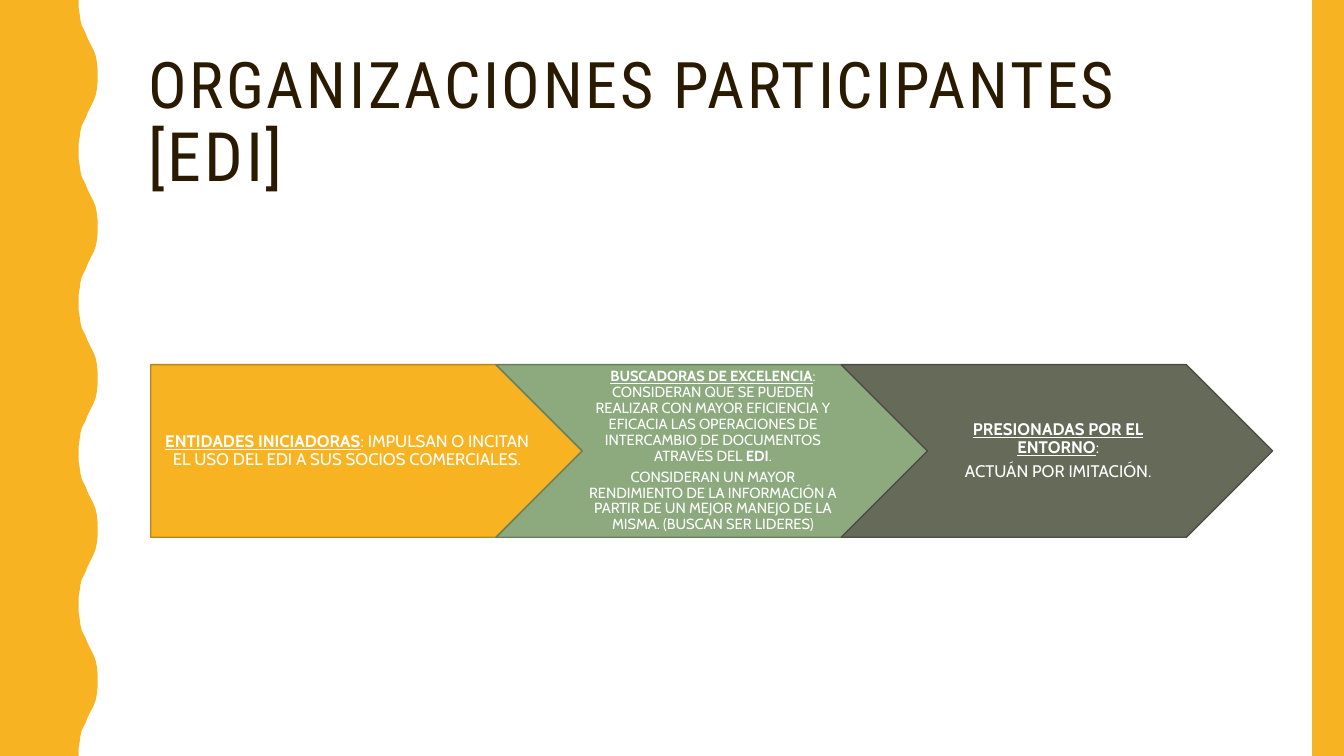
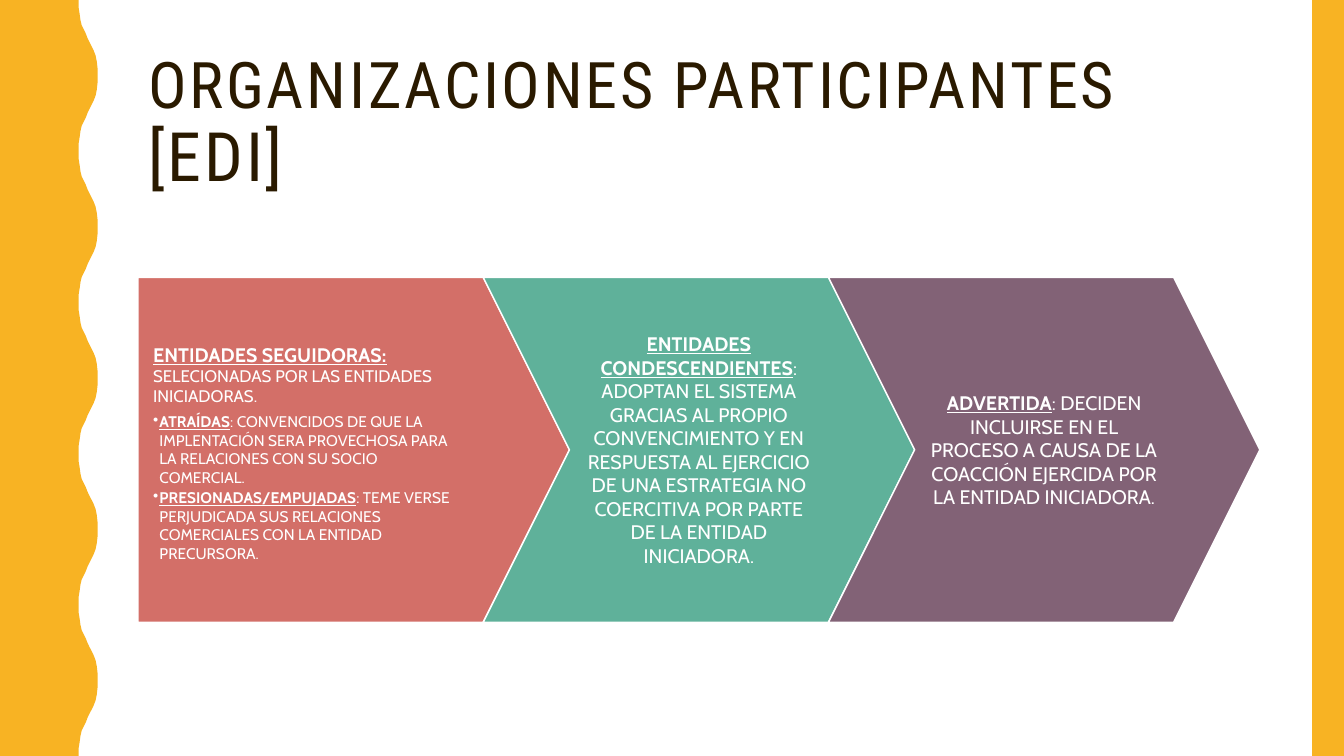
from dataclasses import dataclass

from lxml import etree
from pptx import Presentation
from pptx.dml.color import RGBColor
from pptx.enum.shapes import MSO_SHAPE
from pptx.enum.text import MSO_ANCHOR, MSO_AUTO_SIZE, PP_ALIGN
from pptx.oxml.ns import qn
from pptx.util import Cm, Pt

WIDE, HIGH = 33.87, 19.05
COLORS = {
    "gold": "F8B323", "dark": "2A1A00", "white": "FFFFFF",
    "gold_edge": "B7841A", "green": "8CAA7E", "green_edge": "687E5D",
    "olive": "656A59", "olive_edge": "4B4E42",
    "red": "D36F68", "teal": "5FB19A", "plum": "826276",
}
HEAD_FONT, BODY_FONT = "Roboto Condensed", "Cabin"

# Half a wave of the left band (x, y in cm); the other half mirrors it.
PERIOD = 3.81
HALF = [(1.98, 0), (1.98, 0.18), (2.01, 0.36), (2.03, 0.51), (2.06, 0.64),
        (2.11, 0.74), (2.16, 0.84), (2.21, 0.97), (2.26, 1.07), (2.31, 1.17),
        (2.36, 1.27), (2.41, 1.4), (2.44, 1.55), (2.46, 1.73)]
WAVE = HALF + [(2.46, PERIOD / 2)] + [(x, PERIOD - y) for x, y in HALF[::-1]]

STEP, STEP_WIDE = 8.7, 10.87


@dataclass
class Bit:
    text: str
    bold: bool = False
    under: bool = False
    size: float | None = None


@dataclass
class Para:
    bits: list[Bit]
    size: float
    bullet: bool = False


@dataclass
class Arrow:
    fill: str
    edge: str
    paras: list[Para]
    inset: tuple[float, float, float, float]
    align: PP_ALIGN = PP_ALIGN.CENTER
    anchor: MSO_ANCHOR = MSO_ANCHOR.MIDDLE


@dataclass
class Chain:
    left: float
    top: float
    high: float
    tip: float
    pitch: float
    arrows: list[Arrow]


def key(text: str, size: float | None = None) -> Bit:
    """Bold, underlined lead words."""
    return Bit(text, True, True, size)


CHAINS = [
    Chain(3.8, 9.19, 4.35, 0.5, 0.9, [
        Arrow("gold", "gold_edge", [
            Para([key("ENTIDADES INICIADORAS"),
                  Bit(": IMPULSAN O INCITAN EL USO DEL EDI A SUS SOCIOS "
                      "COMERCIALES.")], 12),
        ], (0.17, 0.1, 0.05, 0.1)),
        Arrow("green", "green_edge", [
            Para([key("BUSCADORAS DE EXCELENCIA"),
                  Bit(": CONSIDERAN QUE SE PUEDEN REALIZAR CON MAYOR "
                      "EFICIENCIA Y EFICACIA LAS OPERACIONES DE INTERCAMBIO "
                      "DE DOCUMENTOS ATRAVÉS DEL "),
                  Bit("EDI", True), Bit(".")], 10.5),
            Para([Bit("CONSIDERAN UN MAYOR RENDIMIENTO DE LA INFORMACIÓN A "
                      "PARTIR DE UN MEJOR MANEJO DE LA MISMA. (BUSCAN SER "
                      "LIDERES)")], 10.5),
        ], (0.12, 0.08, 0.05, 0.08)),
        Arrow("olive", "olive_edge", [
            Para([key("PRESIONADAS POR EL ENTORNO"), Bit(":")], 12),
            Para([Bit("ACTUÁN POR IMITACIÓN.")], 12),
        ], (0.25, 0.1, 0.18, 0.1)),
    ]),
    Chain(3.48, 6.99, 8.69, 0.25, 1, [
        Arrow("red", "white", [
            Para([key("ENTIDADES SEGUIDORAS: ", 14),
                  Bit("SELECIONADAS POR LAS ENTIDADES INICIADORAS.")], 12),
            Para([key("ATRAÍDAS"),
                  Bit(": CONVENCIDOS DE QUE LA IMPLENTACIÓN SERA PROVECHOSA "
                      "PARA LA RELACIONES CON SU SOCIO COMERCIAL.")], 11, True),
            Para([key("PRESIONADAS/EMPUJADAS"),
                  Bit(": TEME VERSE PERJUDICADA SUS RELACIONES COMERCIALES "
                      "CON LA ENTIDAD PRECURSORA.")], 11, True),
        ], (0.38, 1.64, 1.52, 0.1), PP_ALIGN.LEFT, MSO_ANCHOR.TOP),
        Arrow("teal", "white", [
            Para([key("ENTIDADES CONDESCENDIENTES"),
                  Bit(": ADOPTAN EL SISTEMA GRACIAS AL PROPIO CONVENCIMIENTO "
                      "Y EN RESPUESTA AL EJERCICIO DE UNA ESTRATEGIA NO "
                      "COERCITIVA POR PARTE DE LA ENTIDAD INICIADORA.")], 14),
        ], (0.38, 0.1, 0.38, 0.1)),
        Arrow("plum", "white", [
            Para([key("ADVERTIDA"),
                  Bit(": DECIDEN INCLUIRSE EN EL PROCESO A CAUSA DE LA "
                      "COACCIÓN EJERCIDA POR LA ENTIDAD INICIADORA.")], 14),
        ], (0.38, 0.1, 0.38, 0.1)),
    ]),
]


def tint(name: str) -> RGBColor:
    return RGBColor.from_string(COLORS[name])


def paint(shape, fill: str, edge: str | None = None) -> None:
    shape.shadow.inherit = False
    shape.fill.solid()
    shape.fill.fore_color.rgb = tint(fill)
    if edge:
        shape.line.color.rgb = tint(edge)
        shape.line.width = Pt(1)
    else:
        shape.line.fill.background()


def add_frame(slide) -> None:
    """Wavy band on the left, plain bar on the right."""
    count = round(HIGH / PERIOD)
    edge = [(x, y + turn * PERIOD) for turn in range(count) for x, y in WAVE]
    pen = slide.shapes.build_freeform(0, 0, scale=1.0)
    pen.add_line_segments([(Cm(x), Cm(y)) for x, y in edge + [(0, HIGH)]])
    paint(pen.convert_to_shape(), "gold")
    bar = slide.shapes.add_shape(
        MSO_SHAPE.RECTANGLE, Cm(33.07), 0, Cm(WIDE - 33.07), Cm(HIGH))
    paint(bar, "gold")


def add_title(slide) -> None:
    title = slide.shapes.title
    title.left, title.top = Cm(3.48), Cm(1.07)
    title.width, title.height = Cm(28.27), Cm(4.14)
    frame = title.text_frame
    frame.auto_size = MSO_AUTO_SIZE.NONE
    frame.word_wrap = True
    frame.vertical_anchor = MSO_ANCHOR.MIDDLE
    para = frame.paragraphs[0]
    para.alignment = PP_ALIGN.LEFT
    para.line_spacing = 0.9
    para.font.name = HEAD_FONT
    para.font.color.rgb = tint("dark")
    first = para.add_run()
    para.add_line_break()
    last = para.add_run()
    for run, text, size in ((first, "ORGANIZACIONES PARTICIPANTES", 45.9),
                            (last, "[EDI]", 48.6)):
        run.text = text
        run.font.size = Pt(size)
        run.font._element.set("spc", "200")


def add_bullet(para) -> None:
    props = para._p.get_or_add_pPr()
    props.set("marL", str(Cm(0.16)))
    props.set("indent", str(-Cm(0.16)))
    etree.SubElement(props, qn("a:buChar")).set("char", "•")


def write(para, data: Para, align: PP_ALIGN, pitch: float) -> None:
    if data.bullet:
        add_bullet(para)
    para.alignment = align
    para.line_spacing = pitch
    para.space_after = Pt(data.size * (0.15 if data.bullet else 0.35))
    para.font.name = BODY_FONT
    para.font.size = Pt(data.size)
    para.font.color.rgb = tint("white")
    for bit in data.bits:
        run = para.add_run()
        run.text = bit.text
        run.font.bold = bit.bold
        run.font.underline = bit.under
        if bit.size:
            run.font.size = Pt(bit.size)


def add_chain(slide, chain: Chain) -> None:
    for spot, arrow in enumerate(chain.arrows):
        kind = MSO_SHAPE.CHEVRON if spot else MSO_SHAPE.PENTAGON
        shape = slide.shapes.add_shape(
            kind, Cm(chain.left + spot * STEP), Cm(chain.top),
            Cm(STEP_WIDE), Cm(chain.high))
        shape.adjustments[0] = chain.tip
        paint(shape, arrow.fill, arrow.edge)
        frame = shape.text_frame
        frame.word_wrap = True
        frame.vertical_anchor = arrow.anchor
        (frame.margin_left, frame.margin_top, frame.margin_right,
         frame.margin_bottom) = map(Cm, arrow.inset)
        for row, data in enumerate(arrow.paras):
            para = frame.add_paragraph() if row else frame.paragraphs[0]
            write(para, data, arrow.align, chain.pitch)


def main() -> None:
    deck = Presentation()
    deck.slide_width, deck.slide_height = Cm(WIDE), Cm(HIGH)
    for chain in CHAINS:
        slide = deck.slides.add_slide(deck.slide_layouts[5])
        add_title(slide)
        add_frame(slide)
        add_chain(slide, chain)
    deck.save("out.pptx")


if __name__ == "__main__":
    main()
